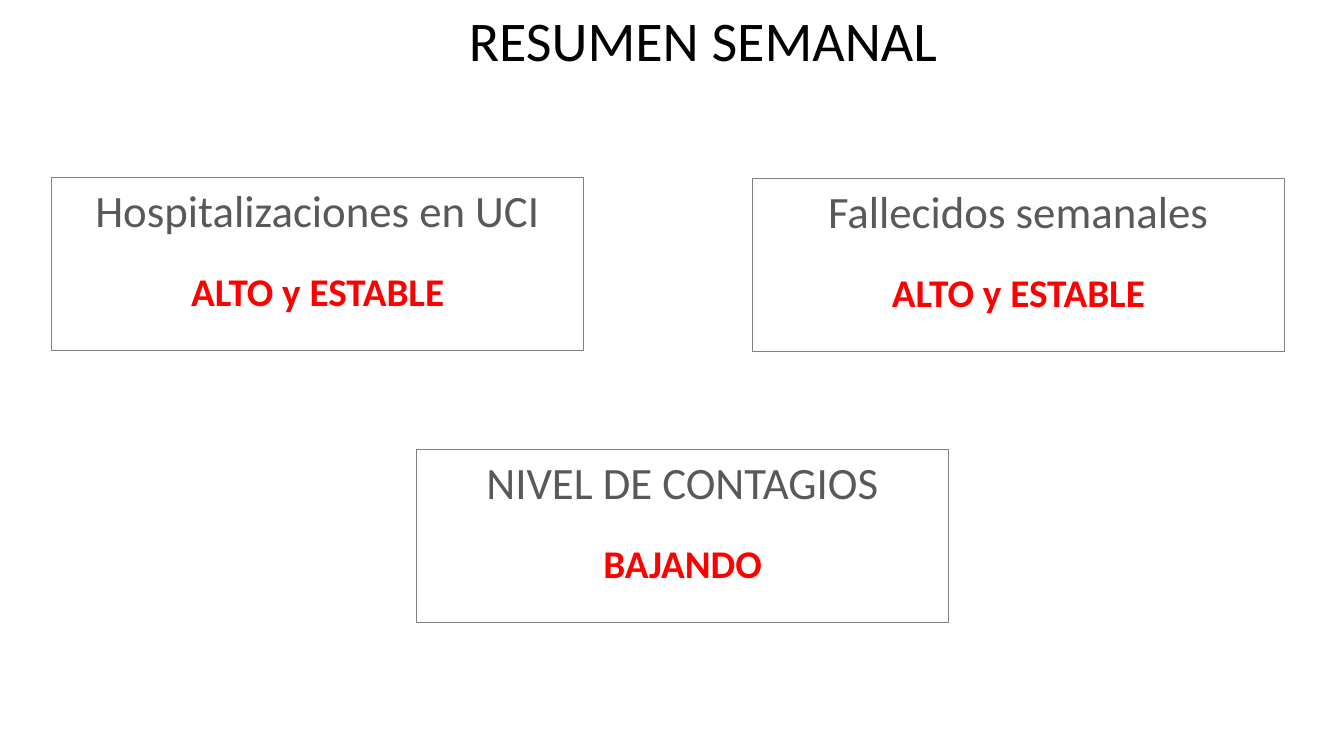
"""Build the weekly summary slide."""
from dataclasses import dataclass

from pptx import Presentation
from pptx.dml.color import RGBColor
from pptx.enum.shapes import MSO_SHAPE
from pptx.enum.text import MSO_ANCHOR, MSO_AUTO_SIZE, PP_ALIGN
from pptx.slide import Slide
from pptx.text.text import TextFrame, _Paragraph
from pptx.util import Inches, Pt


@dataclass(frozen=True)
class Theme:
    """Colours, font and type sizes."""
    font: str = "Calibri"
    black: str = "000000"
    grey: str = "595959"
    edge: str = "808080"
    red: str = "FF0000"
    title: int = 40
    label: int = 32
    status: int = 28
    gap: int = 22
    line: float = 0.75


@dataclass(frozen=True)
class Card:
    """A bordered box with a label and its status."""
    left: float
    top: float
    label: str
    status: str


THEME = Theme()
WIDTH, HEIGHT = 5.28, 1.72
CARDS = [
    Card(0.51, 1.76, "Hospitalizaciones en UCI", "ALTO y ESTABLE"),
    Card(7.46, 1.77, "Fallecidos semanales", "ALTO y ESTABLE"),
    Card(4.13, 4.46, "NIVEL DE CONTAGIOS", "BAJANDO"),
]


def add_run(para: _Paragraph, text: str, size: int, color: str,
            bold: bool = False) -> None:
    """Add one formatted run to a paragraph."""
    run = para.add_run()
    run.text = text
    run.font.name = THEME.font
    run.font.size = Pt(size)
    run.font.bold = bold
    run.font.color.rgb = RGBColor.from_string(color)


def set_frame(frame: TextFrame, wrap: bool) -> None:
    """Anchor a text frame at the top and set its wrapping."""
    frame.word_wrap = wrap
    frame.auto_size = MSO_AUTO_SIZE.NONE
    frame.vertical_anchor = MSO_ANCHOR.TOP


def add_title(slide: Slide, text: str) -> None:
    """Place and fill the title placeholder."""
    title = slide.shapes.title
    title.left, title.top = Inches(4.55), Inches(0)
    title.width, title.height = Inches(4.89), Inches(0.77)
    set_frame(title.text_frame, False)
    para = title.text_frame.paragraphs[0]
    para.alignment = PP_ALIGN.LEFT
    add_run(para, text, THEME.title, THEME.black)


def add_card(slide: Slide, card: Card) -> None:
    """Draw one card."""
    box = slide.shapes.add_shape(
        MSO_SHAPE.RECTANGLE, Inches(card.left), Inches(card.top),
        Inches(WIDTH), Inches(HEIGHT))
    box.shadow.inherit = False
    box.fill.background()
    box.line.color.rgb = RGBColor.from_string(THEME.edge)
    box.line.width = Pt(THEME.line)
    frame = box.text_frame
    set_frame(frame, True)
    label, status = frame.paragraphs[0], frame.add_paragraph()
    label.alignment = status.alignment = PP_ALIGN.CENTER
    status.space_before = Pt(THEME.gap)
    add_run(label, card.label, THEME.label, THEME.grey)
    add_run(status, card.status, THEME.status, THEME.red, True)


def main() -> None:
    """Build and save the deck."""
    deck = Presentation()
    deck.slide_width, deck.slide_height = Inches(13.33), Inches(7.5)
    slide = deck.slides.add_slide(deck.slide_layouts[5])
    add_title(slide, "RESUMEN SEMANAL")
    for card in CARDS:
        add_card(slide, card)
    deck.save("out.pptx")


if __name__ == "__main__":
    main()
